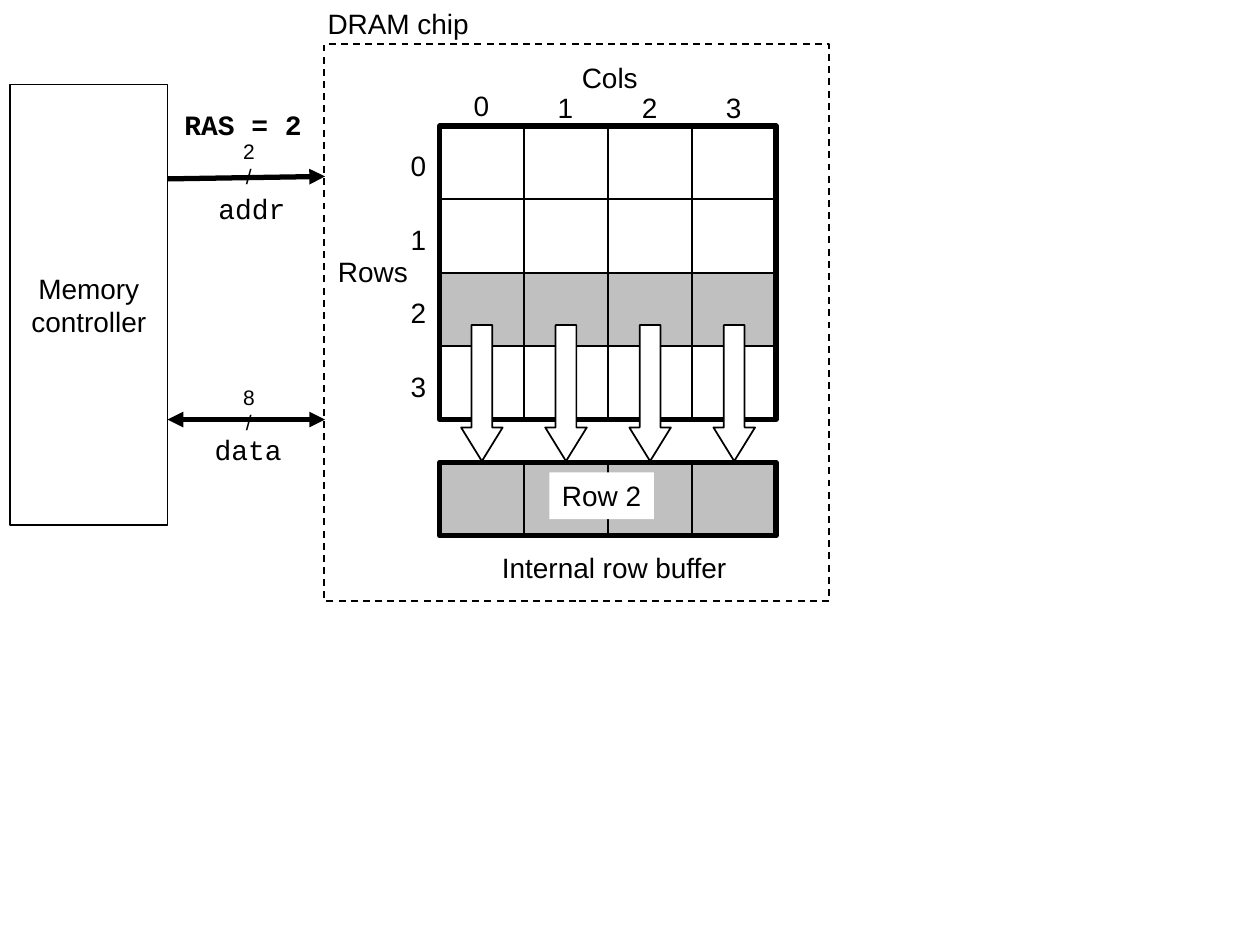
import pptx
import pptx.dml.color
import pptx.enum.dml
import pptx.enum.shapes
import pptx.enum.text
import pptx.oxml
import pptx.oxml.ns
import pptx.util

Inches = pptx.util.Inches
Shape = pptx.enum.shapes.MSO_SHAPE
AutoSize = pptx.enum.text.MSO_AUTO_SIZE

BLACK = pptx.dml.color.RGBColor(0, 0, 0)
WHITE = pptx.dml.color.RGBColor(255, 255, 255)
GRAY = pptx.dml.color.RGBColor(192, 192, 192)

# Memory array grid
COUNT = 4
GRID_LEFT, GRID_TOP = 3.49, 1
GRID_WIDTH, GRID_HEIGHT = 2.67, 2.33
CELL_WIDTH, CELL_HEIGHT = GRID_WIDTH / COUNT, GRID_HEIGHT / COUNT
BUFFER_TOP = 3.67
OPEN_ROW = 2


def write_text(box, text, size=16, font="Arial", bold=False, auto_size=AutoSize.SHAPE_TO_FIT_TEXT):
    """Put centred, unwrapped text into a box."""
    frame = box.text_frame
    frame.text = text
    frame.word_wrap = False
    frame.auto_size = auto_size
    frame.vertical_anchor = pptx.enum.text.MSO_ANCHOR.MIDDLE
    for para in frame.paragraphs:
        para.alignment = pptx.enum.text.PP_ALIGN.CENTER
        for span in para.runs:
            span.font.name = font
            span.font.size = pptx.util.Pt(size)
            span.font.bold = bold
            span.font.color.rgb = BLACK


def add_label(page, text, left, top, width, height=0.37, **style):
    box = page.shapes.add_textbox(Inches(left), Inches(top), Inches(width), Inches(height))
    write_text(box, text, **style)


def add_block(page, left, top, width, height, fill=None, line_width=1, kind=Shape.RECTANGLE):
    """Add a shape; no fill colour or no line width leaves that part out."""
    block = page.shapes.add_shape(kind, Inches(left), Inches(top), Inches(width), Inches(height))
    block.shadow.inherit = False
    if fill is None:
        block.fill.background()
    else:
        block.fill.solid()
        block.fill.fore_color.rgb = fill
    if line_width:
        block.line.color.rgb = BLACK
        block.line.width = pptx.util.Pt(line_width)
    else:
        block.line.fill.background()
    return block


def add_bus(page, start, end, arrow_ends):
    """Add a thick line with arrowheads at the named ends."""
    bus = page.shapes.add_connector(
        pptx.enum.shapes.MSO_CONNECTOR.STRAIGHT, *(Inches(value) for value in start + end))
    bus.line.color.rgb = BLACK
    bus.line.width = pptx.util.Pt(3)
    line = bus.line._get_or_add_ln()
    for arrow_end in arrow_ends:
        line.append(pptx.oxml.parse_xml(
            f'<a:{arrow_end} {pptx.oxml.ns.nsdecls("a")} type="triangle"/>'))
    bus._element.spPr.append(
        pptx.oxml.parse_xml(f'<a:effectLst {pptx.oxml.ns.nsdecls("a")}/>'))


def add_cell_row(page, top, fill):
    for col in range(COUNT):
        add_block(page, GRID_LEFT + col * CELL_WIDTH, top, CELL_WIDTH, CELL_HEIGHT, fill)


def add_array(page):
    add_label(page, "Cols", 4.52, 0.43, 0.64)
    add_label(page, "Rows", 2.58, 1.97, 0.76)
    for row in range(COUNT):
        add_cell_row(page, GRID_TOP + row * CELL_HEIGHT, GRAY if row == OPEN_ROW else WHITE)
    for index in range(COUNT):
        add_label(page, str(index), 3.66 + index * CELL_WIDTH, 0.67 if index else 0.65, 0.32)
        add_label(page, str(index), 3.16, 1.13 + index * CELL_HEIGHT, 0.32)
    add_block(page, GRID_LEFT, GRID_TOP, GRID_WIDTH, GRID_HEIGHT, line_width=3)


def add_row_buffer(page):
    add_cell_row(page, BUFFER_TOP, GRAY)
    add_block(page, GRID_LEFT, BUFFER_TOP, GRID_WIDTH, CELL_HEIGHT, line_width=3)
    add_label(page, "Internal row buffer", 3.88, 4.32, 1.99)


def add_row_copy(page):
    for col in range(COUNT):
        arrow = add_block(page, 3.66 + col * CELL_WIDTH, 2.58, 0.33, 1.08, WHITE,
                          kind=Shape.DOWN_ARROW)
        arrow.adjustments[0] = 0.5
        arrow.adjustments[1] = 0.81
    write_text(add_block(page, 4.36, 3.75, 0.83, 0.37, WHITE, line_width=0), "Row 2")


def main():
    deck = pptx.Presentation()
    deck.slide_width, deck.slide_height = Inches(10), Inches(7.5)
    page = deck.slides.add_slide(deck.slide_layouts[6])

    # DRAM chip and its contents
    add_array(page)
    add_row_buffer(page)
    chip = add_block(page, 2.57, 0.35, 4.01, 4.42)
    chip.line.dash_style = pptx.enum.dml.MSO_LINE.DASH
    add_label(page, "DRAM chip", 2.5, 0, 1.32)
    add_row_copy(page)

    # Address and data buses
    add_label(page, "RAS = 2", 1.36, 0.8, 1.14, font="Courier New", bold=True)
    add_bus(page, (1.33, 1.42), (2.58, 1.4), ["tailEnd"])
    add_label(page, "addr", 1.63, 1.47, 0.74, font="Courier New")
    add_bus(page, (1.33, 3.33), (2.58, 3.33), ["headEnd", "tailEnd"])
    add_label(page, "data", 1.6, 3.38, 0.74, font="Courier New")
    for bits, top in (("2", 1.05), ("8", 3)):
        add_label(page, f"{bits}\n/", 1.83, top, 0.29, 0.5, size=12)

    # Memory controller
    controller = add_block(page, 0.08, 0.67, 1.25, 3.5, WHITE)
    write_text(controller, "Memory\ncontroller", auto_size=AutoSize.NONE)

    deck.save("out.pptx")


if __name__ == "__main__":
    main()
